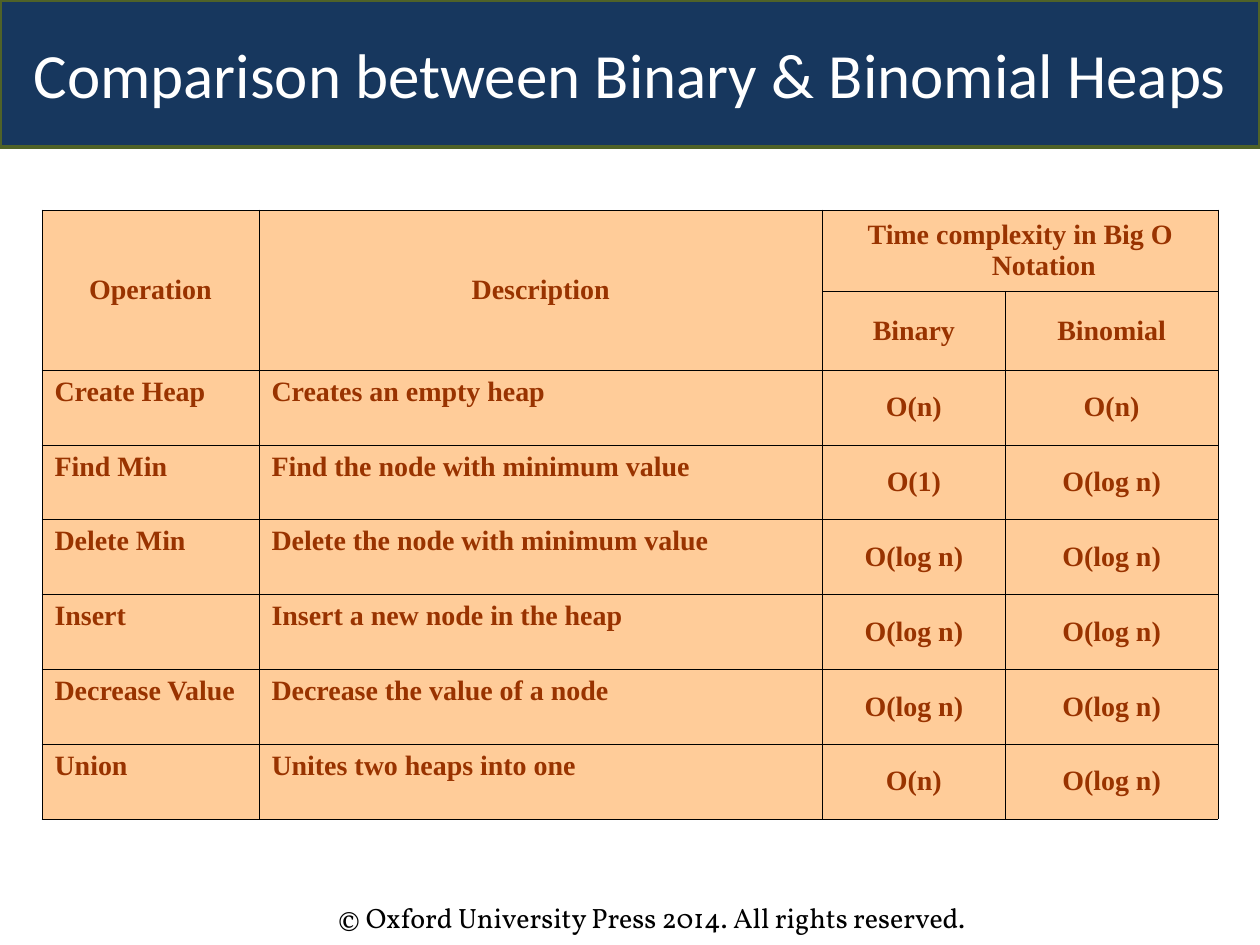
from lxml.etree import SubElement
from pptx import Presentation
from pptx.dml.color import RGBColor
from pptx.enum.text import MSO_ANCHOR as Anchor, MSO_AUTO_SIZE as AutoSize, PP_ALIGN as Align
from pptx.oxml.ns import qn
from pptx.util import Pt

TITLE = "Comparison between Binary & Binomial Heaps"
FOOTER = "© Oxford University Press 2014. All rights reserved."
ROWS = [
    ("Operation", "Description", "Time complexity in Big O Notation", ""),
    ("", "", "Binary", "Binomial"),
    ("Create Heap", "Creates an empty heap", "O(n)", "O(n)"),
    ("Find Min", "Find the node with minimum value", "O(1)", "O(log n)"),
    ("Delete Min", "Delete the node with minimum value", "O(log n)", "O(log n)"),
    ("Insert", "Insert a new node in the heap", "O(log n)", "O(log n)"),
    ("Decrease Value", "Decrease the value of a node", "O(log n)", "O(log n)"),
    ("Union", "Unites two heaps into one", "O(n)", "O(log n)"),
]
MERGES = [((0, 0), (1, 0)), ((0, 1), (1, 1)), ((0, 2), (0, 3))]
HEADER_ROWS = 2
COL_WIDTHS = [124, 322, 104.5, 121.5]
ROW_HEIGHTS = [46.5, 45] + [42.75] * 6

TITLE_FONT = {"name": "Calibri", "size": Pt(36)}
FOOTER_FONT = {"name": "Vollkorn", "size": Pt(16)}
CELL_FONT = {"name": "Times New Roman", "size": Pt(16), "bold": True}


def rgb(value):
    return RGBColor.from_string(value)


def write(tf, text, font, color, align):
    p = tf.paragraphs[0]
    p.alignment = align
    r = p.add_run()
    r.text = text
    for key, value in font.items():
        setattr(r.font, key, value)
    r.font.color.rgb = rgb(color)
    return p


def add_borders(cell, color, width):
    tc_pr = cell._tc.get_or_add_tcPr()
    for side in ("lnL", "lnR", "lnT", "lnB"):
        ln = SubElement(tc_pr, qn(f"a:{side}"), w=str(Pt(width)))
        SubElement(SubElement(ln, qn("a:solidFill")), qn("a:srgbClr"), val=color)


def add_title(s):
    sp = s.shapes.title
    sp.left, sp.top, sp.width, sp.height = Pt(0), Pt(0), Pt(720), Pt(84)
    sp.fill.solid()
    sp.fill.fore_color.rgb = rgb("17375E")
    sp.line.color.rgb = rgb("4F6228")
    sp.line.width = Pt(2)
    tf = sp.text_frame
    tf.auto_size = AutoSize.NONE
    tf.vertical_anchor = Anchor.MIDDLE
    write(tf, TITLE, TITLE_FONT, "FFFFFF", Align.CENTER)


def add_footer(s):
    tf = s.shapes.add_textbox(Pt(186), Pt(511), Pt(426), Pt(27)).text_frame
    tf.word_wrap = True
    write(tf, FOOTER, FOOTER_FONT, "000000", Align.LEFT)


def add_comparison(s):
    table = s.shapes.add_table(len(ROWS), len(COL_WIDTHS), Pt(24), Pt(120),
                               Pt(sum(COL_WIDTHS)), Pt(sum(ROW_HEIGHTS))).table
    for col, width in zip(table.columns, COL_WIDTHS):
        col.width = Pt(width)
    for row, height in zip(table.rows, ROW_HEIGHTS):
        row.height = Pt(height)
    for start, end in MERGES:
        table.cell(*start).merge(table.cell(*end))

    for i, row in enumerate(ROWS):
        for j, text in enumerate(row):
            cell = table.cell(i, j)
            add_borders(cell, "000000", 0.45)
            cell.fill.solid()
            cell.fill.fore_color.rgb = rgb("FFCC99")
            if not text:
                continue
            centred = i < HEADER_ROWS or j >= 2
            cell.vertical_anchor = Anchor.MIDDLE if centred else Anchor.TOP
            p = write(cell.text_frame, text, CELL_FONT, "993300",
                      Align.CENTER if centred else Align.LEFT)
            p_pr = p._p.get_or_add_pPr()
            p_pr.set("marL", str(Pt(27)))
            p_pr.set("indent", str(-Pt(27)))


def main():
    prs = Presentation()
    prs.slide_width, prs.slide_height = Pt(720), Pt(540)
    s = prs.slides.add_slide(prs.slide_layouts[5])
    add_footer(s)
    add_title(s)
    add_comparison(s)
    prs.save("out.pptx")


if __name__ == "__main__":
    main()
